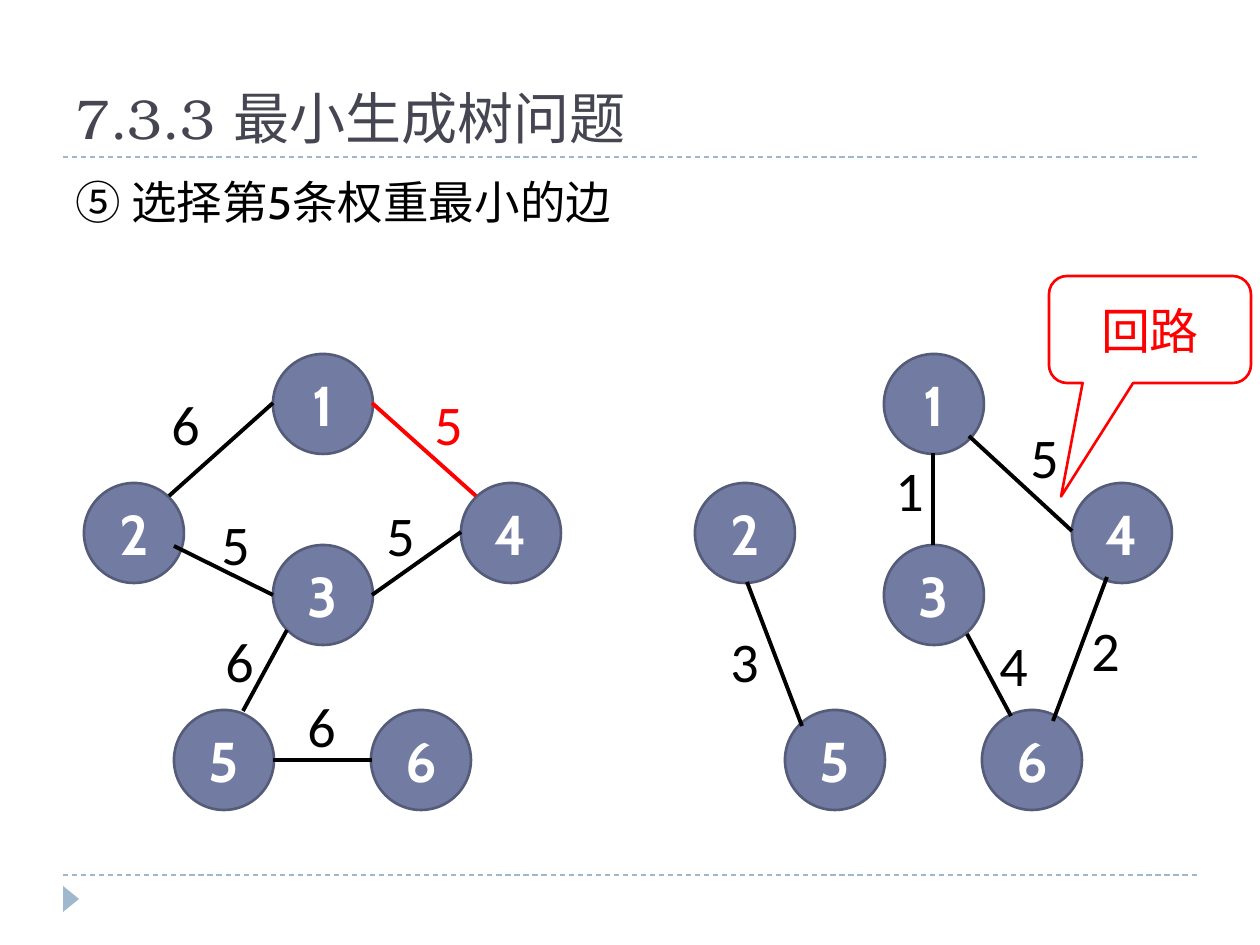
from dataclasses import dataclass

from pptx import Presentation
from pptx.dml.color import RGBColor
from pptx.enum.dml import MSO_LINE
from pptx.enum.shapes import MSO_CONNECTOR, MSO_SHAPE
from pptx.enum.text import MSO_ANCHOR, MSO_AUTO_SIZE, PP_ALIGN
from pptx.oxml.ns import qn
from pptx.util import Emu, Inches, Pt
from lxml.etree import SubElement


@dataclass(frozen=True)
class Theme:
    accent: str = "9FB8CD"
    title: str = "464653"
    node: str = "727CA3"
    node_border: str = "545C79"
    ink: str = "000000"
    paper: str = "FFFFFF"
    alert: str = "FF0000"
    title_font: str = "TeX Gyre Bonum"
    body_font: str = "Cabin"
    weight_font: str = "Calibri"
    title_size: int = 32
    body_size: int = 26
    graph_size: int = 32
    callout_size: int = 28


THEME = Theme()
PX_PER_INCH = 126
NODE_SIZE = 100
WEIGHT_BOX = (54, 81)
GRAPH_BOX = (478, 456)

NODES = {
    "1": (189, 0),
    "2": (0, 129),
    "3": (189, 191),
    "4": (377, 129),
    "5": (90, 356),
    "6": (287, 356),
}

# weight, start, end, weight position, colour
REMAINING_EDGES = [
    ("6", (85, 142), (189, 49), (75, 29), THEME.ink),
    ("5", (392, 142), (288, 49), (338, 29), THEME.alert),
    ("5", (377, 178), (288, 241), (290, 140), THEME.ink),
    ("5", (90, 192), (189, 241), (125, 149), THEME.ink),
    ("6", (203, 276), (159, 357), (129, 266), THEME.ink),
    ("6", (189, 406), (288, 406), (211, 331), THEME.ink),
]
CHOSEN_EDGES = [
    ("1", (238, 99), (238, 191), (188, 95), THEME.ink),
    ("2", (358, 367), (412, 223), (384, 255), THEME.ink),
    ("3", (52, 228), (107, 372), (23, 266), THEME.ink),
    ("4", (272, 280), (316, 362), (292, 270), THEME.ink),
    ("5", (377, 177), (274, 82), (323, 62), THEME.ink),
]


def px(length):
    return Emu(round(length * 914400 / PX_PER_INCH))


def colour(value):
    return RGBColor.from_string(value)


def write(shape, text, font, size, ink, bold=False, align=PP_ALIGN.LEFT,
          anchor=MSO_ANCHOR.TOP, wrap=True):
    frame = shape.text_frame
    frame.word_wrap = wrap
    frame.vertical_anchor = anchor
    paragraph = frame.paragraphs[0]
    paragraph.alignment = align
    run = paragraph.add_run()
    run.text = text
    run.font.name = font
    run.font.size = Pt(size)
    run.font.bold = bold
    run.font.color.rgb = colour(ink)
    return paragraph


def add_text(slide, box, *content, **style):
    shape = slide.shapes.add_textbox(*map(px, box))
    return shape, write(shape, *content, **style)


def add_outlined(slide, kind, box, fill, border=None):
    shape = slide.shapes.add_shape(kind, *map(px, box))
    shape.shadow.inherit = False
    shape.fill.solid()
    shape.fill.fore_color.rgb = colour(fill)
    if border:
        shape.line.color.rgb = colour(border)
        shape.line.width = Pt(1.5)
    else:
        shape.line.fill.background()
    return shape


def add_line(slide, start, end, ink, width, dash=None):
    line = slide.shapes.add_connector(MSO_CONNECTOR.STRAIGHT, *map(px, (*start, *end)))
    line.line.color.rgb = colour(ink)
    line.line.width = Pt(width)
    if dash:
        line.line.dash_style = dash
    SubElement(line._element.spPr, qn("a:effectLst"))


def add_frame(slide, box):
    left, top, width, height = box
    for y in (top + height, top):
        add_line(slide, (left, y), (left + width, y), THEME.accent, 0.75, MSO_LINE.DASH)
    marker = add_outlined(slide, MSO_SHAPE.ISOSCELES_TRIANGLE,
                          (left - 5, top + height + 16, 26, 16), THEME.accent)
    marker.rotation = 90


def add_heading(slide, box):
    left, top, width, height = box
    add_text(slide, (left, top, width, 136), "7.3.3 最小生成树问题",
             THEME.title_font, THEME.title_size, THEME.title, anchor=MSO_ANCHOR.BOTTOM)
    _, paragraph = add_text(slide, (left, top + 147, width, height - 147),
                            "⑤ 选择第5条权重最小的边",
                            THEME.body_font, THEME.body_size, THEME.ink)
    paragraph.space_before = Pt(6)


def add_graph(slide, box, edges):
    left, top, width, height = box
    scale_x, scale_y = width / GRAPH_BOX[0], height / GRAPH_BOX[1]

    def place(point):
        return left + point[0] * scale_x, top + point[1] * scale_y

    for name, position in NODES.items():
        node = add_outlined(slide, MSO_SHAPE.OVAL, (*place(position), NODE_SIZE, NODE_SIZE),
                            THEME.node, THEME.node_border)
        write(node, name, THEME.body_font, THEME.graph_size, THEME.paper, bold=True,
              align=PP_ALIGN.CENTER, anchor=MSO_ANCHOR.MIDDLE)
    for weight, start, end, position, ink in edges:
        add_line(slide, place(start), place(end), ink, 2.25)
        label, _ = add_text(slide, (*place(position), *WEIGHT_BOX), weight,
                            THEME.weight_font, THEME.graph_size, ink, wrap=False)
        label.text_frame.auto_size = MSO_AUTO_SIZE.SHAPE_TO_FIT_TEXT


def add_callout(slide, box):
    callout = add_outlined(slide, MSO_SHAPE.ROUNDED_RECTANGULAR_CALLOUT, box,
                           THEME.paper, THEME.alert)
    for index, value in enumerate((-0.44, 1.56, 0.17)):
        callout.adjustments[index] = value
    write(callout, "回路", THEME.body_font, THEME.callout_size, THEME.alert,
          align=PP_ALIGN.CENTER, anchor=MSO_ANCHOR.MIDDLE)


def main():
    presentation = Presentation()
    presentation.slide_width = Inches(10)
    presentation.slide_height = Inches(7.5)
    slide = presentation.slides.add_slide(presentation.slide_layouts[6])
    add_frame(slide, (63, 157, 1134, 718))
    add_heading(slide, (63, 21, 1134, 827))
    add_graph(slide, (84, 354, *GRAPH_BOX), REMAINING_EDGES)
    add_graph(slide, (695, 354, *GRAPH_BOX), CHOSEN_EDGES)
    add_callout(slide, (1049, 276, 202, 107))
    presentation.save("out.pptx")


if __name__ == "__main__":
    main()
